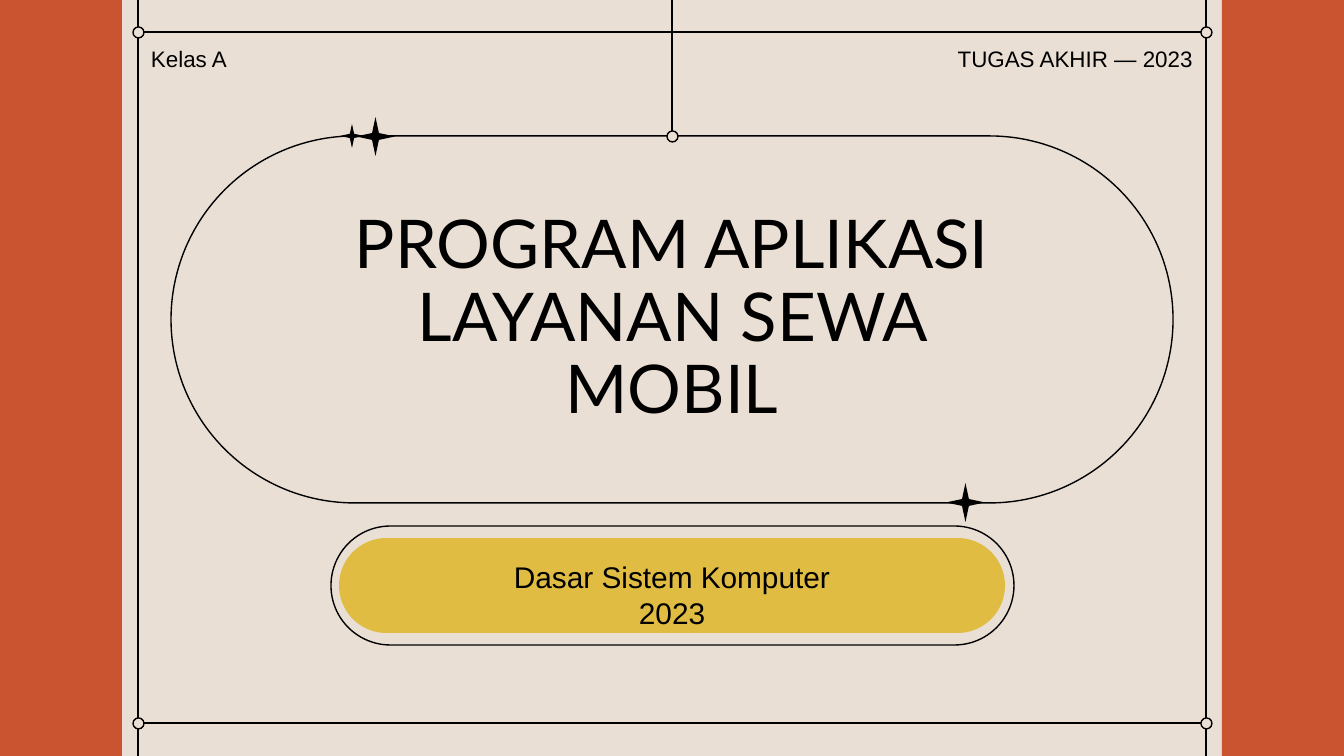
from dataclasses import dataclass

from lxml.etree import SubElement
from pptx import Presentation
from pptx.dml.color import RGBColor
from pptx.enum.shapes import MSO_CONNECTOR, MSO_SHAPE
from pptx.enum.text import MSO_ANCHOR, PP_ALIGN
from pptx.oxml.ns import qn
from pptx.util import Pt

SLIDE_WIDTH, SLIDE_HEIGHT = 1344, 756
EMU_PER_PX = 9144000 / SLIDE_WIDTH


def px(length):
    return round(length * EMU_PER_PX)


@dataclass(frozen=True)
class Theme:
    paper: RGBColor = RGBColor.from_string("E9DFD5")
    ink: RGBColor = RGBColor.from_string("000000")
    panel: RGBColor = RGBColor.from_string("CA5430")
    badge: RGBColor = RGBColor.from_string("E0BD42")
    title_font: str = "Lato"
    body_font: str = "Arial"
    title_size: int = 36
    subtitle_size: int = 16
    label_size: int = 12
    stroke: float = 0.75
    node: int = 11
    inset: int = 13


class SlideBuilder:
    def __init__(self, slide, theme):
        self.slide = slide
        self.theme = theme
        background = slide.background.fill
        background.solid()
        background.fore_color.rgb = theme.paper

    def shape(self, kind, left, top, width, height, fill=None, outlined=False, adjustment=None):
        shape = self.slide.shapes.add_shape(kind, px(left), px(top), px(width), px(height))
        shape.shadow.inherit = False
        if adjustment is not None:
            shape.adjustments[0] = adjustment
        if fill is None:
            shape.fill.background()
        else:
            shape.fill.solid()
            shape.fill.fore_color.rgb = fill
        if outlined:
            shape.line.color.rgb = self.theme.ink
            shape.line.width = Pt(self.theme.stroke)
        else:
            shape.line.fill.background()

    def pill(self, left, top, width, height, fill=None):
        self.shape(MSO_SHAPE.ROUNDED_RECTANGLE, left, top, width, height, fill, fill is None, 0.5)

    def star(self, left, top, size):
        self.shape(MSO_SHAPE.STAR_4_POINT, left, top, size, size, self.theme.ink, adjustment=0.125)

    def node(self, x, y):
        size = self.theme.node
        self.shape(MSO_SHAPE.OVAL, x - size // 2, y - size // 2, size, size, self.theme.paper, True)

    def line(self, x1, y1, x2, y2):
        connector = self.slide.shapes.add_connector(
            MSO_CONNECTOR.STRAIGHT, px(x1), px(y1), px(x2), px(y2))
        connector.line.color.rgb = self.theme.ink
        connector.line.width = Pt(self.theme.stroke)
        SubElement(connector._element.spPr, qn("a:effectLst"))

    def text(self, lines, left, top, width, height, size, align, font=None,
             anchor=MSO_ANCHOR.TOP, spacing=1.0):
        box = self.slide.shapes.add_textbox(px(left), px(top), px(width), px(height))
        frame = box.text_frame
        frame.word_wrap = True
        frame.vertical_anchor = anchor
        frame.margin_left = frame.margin_right = px(self.theme.inset)
        frame.margin_top = frame.margin_bottom = px(self.theme.inset)
        frame.text = "\n".join(lines)
        for paragraph in frame.paragraphs:
            paragraph.alignment = align
            paragraph.line_spacing = spacing
            paragraph.font.name = font or self.theme.body_font
            paragraph.font.size = Pt(size)
            paragraph.font.color.rgb = self.theme.ink


def draw_frame(builder):
    left, right, top, bottom = 138, 1206, 32, 723
    panel_width = 122
    gap = builder.theme.node // 2
    for panel_left in (0, SLIDE_WIDTH - panel_width):
        builder.shape(MSO_SHAPE.RECTANGLE, panel_left, 0, panel_width, SLIDE_HEIGHT,
                      builder.theme.panel)
    for y in (top, bottom):
        builder.line(left, y, right, y)
    for x in (left, right):
        builder.line(x, 0, x, top - gap)
        builder.line(x, top + gap, x, bottom - gap)
        builder.line(x, bottom + gap, x, SLIDE_HEIGHT)
        for y in (top, bottom):
            builder.node(x, y)


def draw_cover(builder):
    theme = builder.theme
    center, title_top = SLIDE_WIDTH // 2, 136
    builder.pill(331, 526, 683, 119)
    builder.pill(339, 538, 666, 95, theme.badge)
    builder.pill(171, title_top, 1002, 367)
    for star in ((340, 124, 24), (356, 117, 39), (946, 483, 39)):
        builder.star(*star)
    builder.text(["PROGRAM APLIKASI LAYANAN SEWA MOBIL"], 307, 163, 730, 313, theme.title_size,
                 PP_ALIGN.CENTER, theme.title_font, MSO_ANCHOR.MIDDLE, 0.9)
    builder.text(["Dasar Sistem Komputer", "2023"], 339, 546, 666, 50, theme.subtitle_size,
                 PP_ALIGN.CENTER)
    builder.line(center, 0, center, title_top - theme.node // 2)
    builder.node(center, title_top)
    builder.text(["Kelas A"], 138, 32, 272, 47, theme.label_size, PP_ALIGN.LEFT)
    builder.text(["TUGAS AKHIR — 2023"], 934, 32, 272, 47, theme.label_size, PP_ALIGN.RIGHT)


def main():
    presentation = Presentation()
    presentation.slide_width = px(SLIDE_WIDTH)
    presentation.slide_height = px(SLIDE_HEIGHT)
    slide = presentation.slides.add_slide(presentation.slide_layouts[6])
    builder = SlideBuilder(slide, Theme())
    draw_frame(builder)
    draw_cover(builder)
    presentation.save("out.pptx")


if __name__ == "__main__":
    main()
